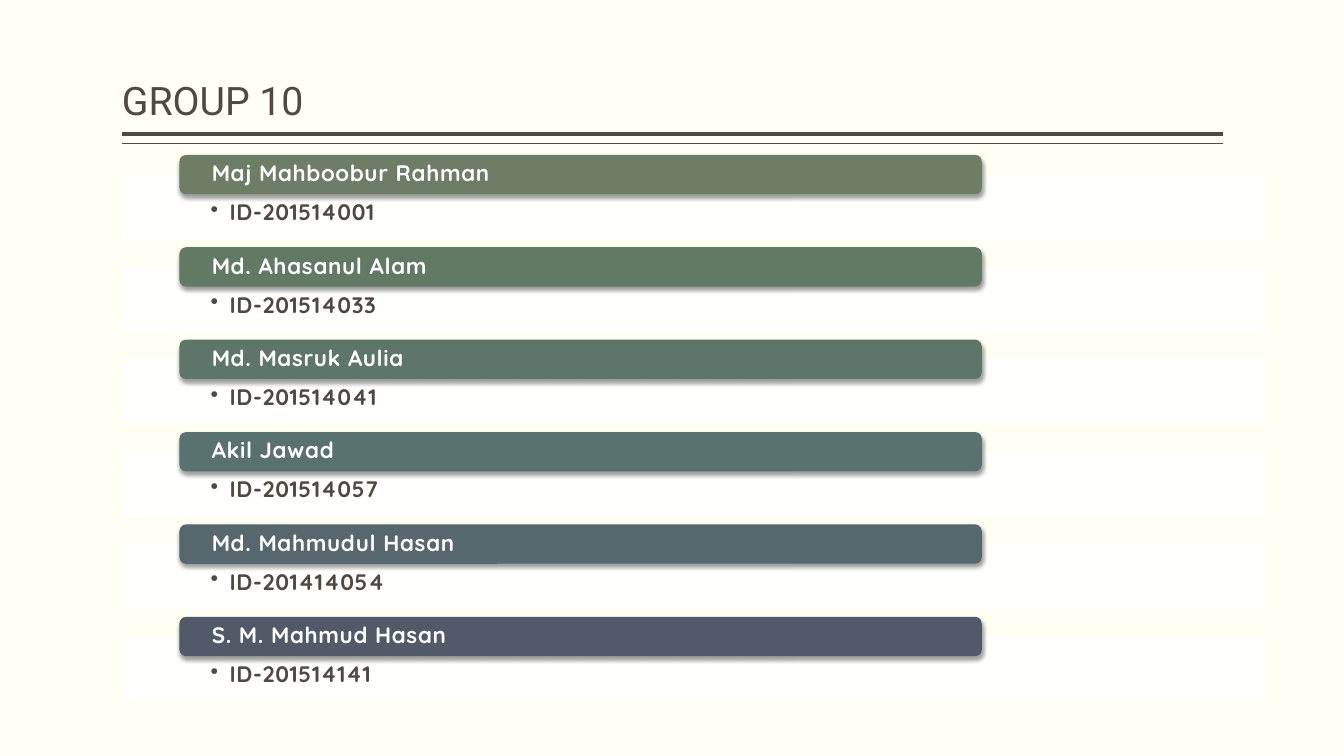
from lxml.etree import SubElement
from pptx import Presentation
from pptx.dml.color import RGBColor
from pptx.enum.shapes import MSO_CONNECTOR, MSO_SHAPE
from pptx.enum.text import MSO_ANCHOR, PP_ALIGN
from pptx.oxml.ns import qn
from pptx.util import Pt

BROWN = "514843"
WHITE = "FFFFFF"
LEFT, RIGHT = 87.1, 873.3
FIRST_BAR_TOP, FIRST_PANEL_TOP, ROW_PITCH = 110.6, 124.4, 66

MEMBERS = [
    ("Maj Mahboobur Rahman", "ID-201514001", "6D7D66"),
    ("Md. Ahasanul Alam", "ID-201514033", "627964"),
    ("Md. Masruk Aulia", "ID-201514041", "5E7669"),
    ("Akil Jawad", "ID-201514057", "5A726F"),
    ("Md. Mahmudul Hasan", "ID-201414054", "56676E"),
    ("S. M. Mahmud Hasan", "ID-201514141", "525A6A"),
]

TITLE_FONT = {"name": "Roboto", "size": Pt(28), "bold": False}
MEMBER_FONT = {"name": "Quicksand", "size": Pt(16), "bold": True}


def color(hex_string):
    return RGBColor.from_string(hex_string)


def set_format(target, values):
    for attribute, value in values.items():
        setattr(target, attribute, value)


def add_xml(parent, tag, **attributes):
    return SubElement(parent, qn(tag), attributes)


def write(holder, wording, font, hex_string, anchor, insets, spacing=0):
    frame = holder.text_frame
    left, top, right, bottom = map(Pt, insets)
    set_format(frame, {
        "word_wrap": True, "vertical_anchor": anchor,
        "margin_left": left, "margin_top": top,
        "margin_right": right, "margin_bottom": bottom,
    })
    line = frame.paragraphs[0]
    set_format(line, {"alignment": PP_ALIGN.LEFT, "line_spacing": 0.9})
    words = line.add_run()
    words.text = wording
    set_format(words.font, font)
    words.font.color.rgb = color(hex_string)
    if spacing:
        words.font._element.set("spc", str(spacing))
    return line


def add_bullet(line):
    line.level = 1
    properties = line._p.get_or_add_pPr()
    indent = Pt(13.5)
    properties.set("marL", str(indent))
    properties.set("indent", str(-indent))
    add_xml(properties, "a:buChar", char="•")


def add_block(slide, preset, box, hex_string):
    block = slide.shapes.add_shape(preset, *map(Pt, box))
    block.shadow.inherit = False
    block.fill.solid()
    block.fill.fore_color.rgb = color(hex_string)
    block.line.fill.background()
    return block


def add_rule(slide, y, weight):
    rule = slide.shapes.add_connector(
        MSO_CONNECTOR.STRAIGHT, Pt(RIGHT), Pt(y), Pt(LEFT), Pt(y))
    rule.line.width = Pt(weight)
    rule.line.color.rgb = color(BROWN)
    add_xml(rule._element.spPr, "a:effectLst")


def add_title(slide, wording):
    title = slide.shapes.add_textbox(Pt(LEFT), Pt(5.8), Pt(RIGHT - LEFT), Pt(86.4))
    write(title, wording, TITLE_FONT, BROWN, MSO_ANCHOR.BOTTOM, (0, 3.6, 0, 3.6))


def add_id_panel(slide, top, student_id):
    panel = add_block(slide, MSO_SHAPE.RECTANGLE, (LEFT, top, 818.6, 46.8), WHITE)
    fill_color = panel._element.spPr.find(qn("a:solidFill"))[0]
    add_xml(fill_color, "a:alpha", val="90000")
    line = write(panel, student_id, MEMBER_FONT, BROWN, MSO_ANCHOR.TOP,
                 (63.4, 19.4, 63.4, 8.6), spacing=50)
    add_bullet(line)


def add_name_bar(slide, top, name, hex_string):
    bar = add_block(slide, MSO_SHAPE.ROUNDED_RECTANGLE,
                    (128.2, top, 573.1, 28.1), hex_string)
    effects = bar._element.spPr.find(qn("a:effectLst"))
    shadow = add_xml(effects, "a:outerShdw", blurRad=str(Pt(3.1)),
                     dist=str(Pt(2)), dir="5400000", rotWithShape="0")
    shadow_color = add_xml(shadow, "a:srgbClr", val="000000")
    add_xml(shadow_color, "a:alpha", val="38000")
    write(bar, name, MEMBER_FONT, WHITE, MSO_ANCHOR.MIDDLE,
          (21.7, 0, 21.7, 0), spacing=50)


def main():
    deck = Presentation()
    set_format(deck, {"slide_width": Pt(960), "slide_height": Pt(540)})
    slide = deck.slides.add_slide(deck.slide_layouts[6])
    slide.background.fill.solid()
    slide.background.fill.fore_color.rgb = color("FFFFF3")

    add_rule(slide, 95.8, 3)
    add_rule(slide, 102.7, 1)
    add_title(slide, "GROUP 10")
    for row, (name, student_id, bar_color) in enumerate(MEMBERS):
        offset = row * ROW_PITCH
        add_id_panel(slide, FIRST_PANEL_TOP + offset, student_id)
        add_name_bar(slide, FIRST_BAR_TOP + offset, name, bar_color)

    deck.save("out.pptx")


if __name__ == "__main__":
    main()
